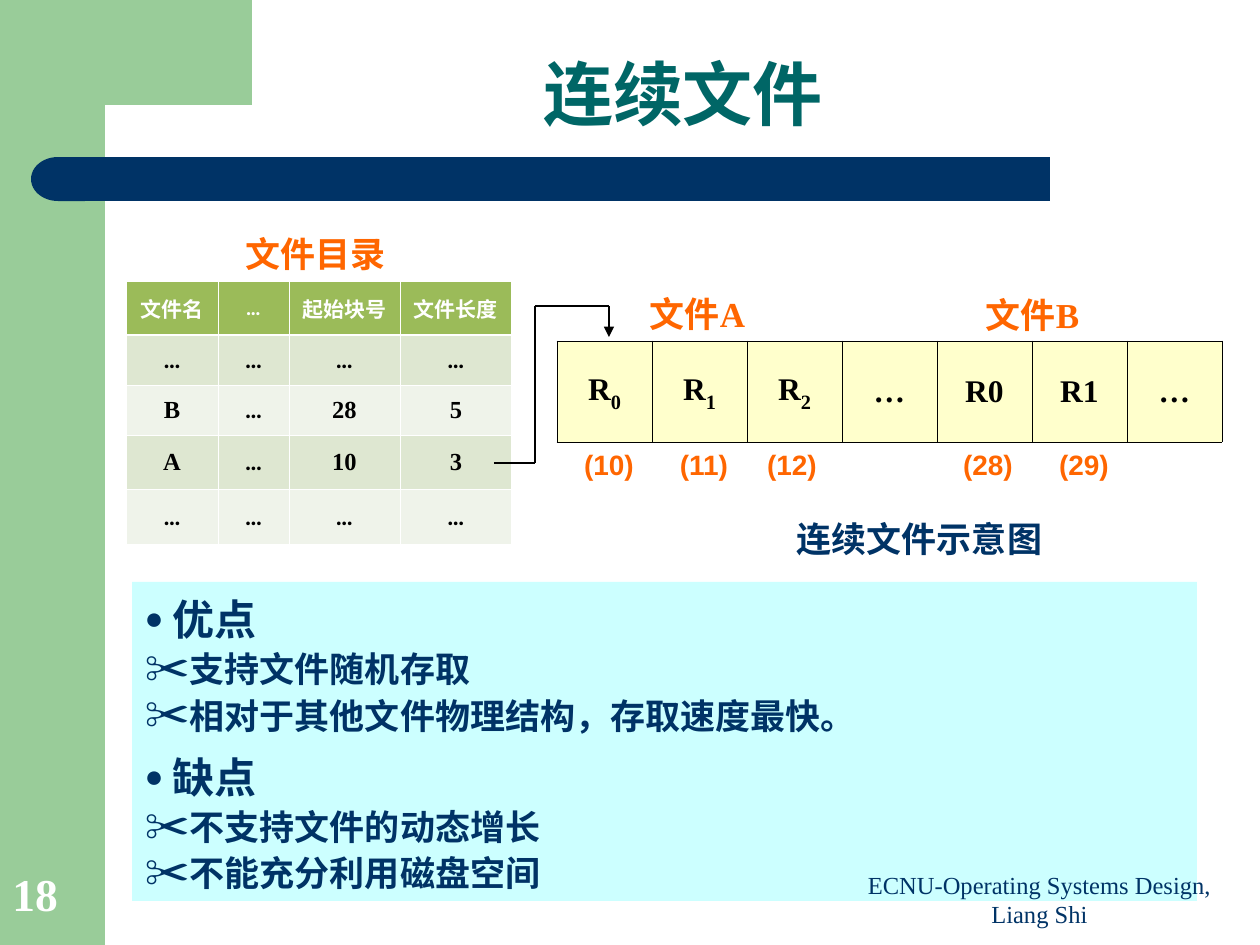
"""Build the slide on contiguous files: directory, block layout, pros and cons."""
from dataclasses import dataclass

import pptx
import pptx.dml.color
import pptx.enum.shapes
import pptx.enum.text
import pptx.oxml
import pptx.oxml.ns
import pptx.util

Align = pptx.enum.text.PP_ALIGN
Anchor = pptx.enum.text.MSO_ANCHOR
Shape = pptx.enum.shapes.MSO_SHAPE
qn = pptx.oxml.ns.qn
NS = pptx.oxml.ns.nsdecls("a")
EMU_PER_PX = 914400 / 126


@dataclass(frozen=True)
class Theme:
    green: str = "99CC99"
    navy: str = "003366"
    teal: str = "006666"
    orange: str = "FF6600"
    cyan: str = "CCFFFF"
    cream: str = "FFFFCC"
    header: str = "9BBB59"
    bands: tuple = ("DEE7D1", "EFF3EA")
    black: str = "000000"
    white: str = "FFFFFF"
    serif: str = "Times New Roman"
    sans: str = "Arial"
    table: str = "Calibri"
    cjk: str = "Noto Sans CJK SC"
    title: int = 40
    number: int = 26
    heading: int = 24
    text: int = 20
    block: int = 18
    address: int = 16
    small: int = 14
    column: int = 12


@dataclass(frozen=True)
class Box:
    x: int
    y: int
    w: int
    h: int

    def emu(self) -> tuple:
        return tuple(px(v) for v in (self.x, self.y, self.w, self.h))


@dataclass(frozen=True)
class Label:
    text: str
    box: Box
    size: int
    color: str
    font: str
    bold: bool = True
    align: Align = Align.CENTER
    anchor: Anchor = Anchor.TOP


@dataclass(frozen=True)
class Point:
    text: str
    level: int
    spacing: float = 1.1


T = Theme()

LABELS = [
    Label("文件目录", Box(231, 226, 169, 55), T.text, T.orange, T.serif),
    Label("文件A", Box(613, 286, 169, 55), T.text, T.orange, T.serif),
    Label("文件B", Box(948, 287, 169, 55), T.text, T.orange, T.serif),
    Label("连续文件示意图", Box(763, 511, 313, 55), T.text, T.navy, T.sans),
    Label("ECNU-Operating Systems Design, Liang Shi", Box(840, 869, 399, 66),
          T.small, T.navy, T.serif, bold=False, anchor=Anchor.BOTTOM),
    Label("18", Box(0, 861, 103, 66), T.number, T.white, T.serif,
          align=Align.LEFT, anchor=Anchor.BOTTOM),
]
ADDRESSES = {"(10)": 609, "(11)": 704, "(12)": 792, "(28)": 988, "(29)": 1084}
DIRECTORY = [
    ("文件名", "…", "起始块号", "文件长度"),
    ("…", "…", "…", "…"),
    ("B", "…", "28", "5"),
    ("A", "…", "10", "3"),
    ("…", "…", "…", "…"),
]
BLOCKS = [("R", "0"), ("R", "1"), ("R", "2"), ("…", ""), ("R0", ""), ("R1", ""), ("…", "")]
POINTS = [
    Point("优点", 0),
    Point("支持文件随机存取", 1),
    Point("相对于其他文件物理结构，存取速度最快。", 1),
    Point("缺点", 0, 1.3),
    Point("不支持文件的动态增长", 1),
    Point("不能充分利用磁盘空间", 1),
]
BULLETS = [("●", 75, 28, T.heading), ("✂", 130, 44, T.text)]


def px(value: float) -> int:
    return round(value * EMU_PER_PX)


def rgb(color: str):
    return pptx.dml.color.RGBColor.from_string(color)


def add_text(p, text: str, *, size: int, color: str, font: str, bold: bool = True, sub: bool = False) -> None:
    r = p.add_run()
    r.text = text
    r.font.size, r.font.bold, r.font.name = pptx.util.Pt(size), bold, font
    r.font.color.rgb = rgb(color)
    rPr = r.font._element
    if any(ord(c) > 0x2E80 for c in text):
        rPr.find(qn("a:latin")).addnext(pptx.oxml.parse_xml(f'<a:ea {NS} typeface="{T.cjk}"/>'))
    if sub:
        rPr.set("baseline", "-25000")


def add_label(s, label: Label) -> None:
    tf = s.shapes.add_textbox(*label.box.emu()).text_frame
    tf.word_wrap, tf.vertical_anchor = True, label.anchor
    p = tf.paragraphs[0]
    p.alignment = label.align
    add_text(p, label.text, size=label.size, color=label.color, font=label.font, bold=label.bold)


def paint(sp, color: str) -> None:
    sp.shadow.inherit = False
    sp.fill.solid()
    sp.fill.fore_color.rgb = rgb(color)
    sp.line.fill.background()


def add_frame(s) -> None:
    paint(s.shapes.add_shape(Shape.RECTANGLE, *Box(0, 0, 105, 945).emu()), T.green)
    corner = s.shapes.build_freeform(63, 0, scale=EMU_PER_PX)
    corner.add_line_segments([(252, 0), (252, 105), (102, 105), (91, 113), (86, 131), (84, 161), (63, 161)])
    paint(corner.convert_to_shape(), T.green)
    paint(s.shapes.add_shape(Shape.RECTANGLE, *Box(84, 157, 966, 44).emu()), T.navy)
    cap = s.shapes.add_shape(Shape.FLOWCHART_DELAY, *Box(31, 157, 54, 44).emu())
    cap.rotation = 180
    paint(cap, T.navy)


def add_grid(s, box: Box, widths: list[int], heights: list[int]):
    table = s.shapes.add_table(len(heights), len(widths), *box.emu()).table
    for column, width in zip(table.columns, widths):
        column.width = px(width)
    for row, height in zip(table.rows, heights):
        row.height = px(height)
    return table


def style_cell(cell, fill: str, border: str, before: float, thick: str = ""):
    cell.vertical_anchor = Anchor.MIDDLE
    tcPr = cell._tc.get_or_add_tcPr()
    for side in "LRTB":
        width = pptx.util.Pt(1.5 if side == thick else 0.5)
        tcPr.append(pptx.oxml.parse_xml(
            f'<a:ln{side} {NS} w="{width}"><a:solidFill><a:srgbClr val="{border}"/></a:solidFill></a:ln{side}>'))
    cell.fill.solid()
    cell.fill.fore_color.rgb = rgb(fill)
    p = cell.text_frame.paragraphs[0]
    p.alignment, p.space_before = Align.CENTER, pptx.util.Pt(before)
    return p


def add_directory(s) -> None:
    table = add_grid(s, Box(126, 281, 386, 264), [92, 71, 111, 112], [54, 50, 50, 55, 55])
    for i, row in enumerate(DIRECTORY):
        fill = T.bands[(i - 1) % 2] if i else T.header
        for j, text in enumerate(row):
            p = style_cell(table.cell(i, j), fill, T.white, 3.5 if i else 3, {0: "B", 1: "T"}.get(i, ""))
            add_text(p, text, size=T.small if i else T.column, color=T.black if i else T.white,
                     font=T.serif if text.isalnum() and i else T.table)


def add_blocks(s) -> None:
    table = add_grid(s, Box(557, 341, 665, 101), [95] * len(BLOCKS), [101])
    for j, (name, index) in enumerate(BLOCKS):
        p = style_cell(table.cell(0, j), T.cream, T.black, 5 if index else 4.5)
        add_text(p, name, size=T.block, color=T.black, font=T.serif)
        if index:
            add_text(p, index, size=T.text, color=T.black, font=T.serif, sub=True)


def add_pointer(s, route: list[tuple[int, int]]) -> None:
    for start, end in zip(route, route[1:]):
        line = s.shapes.add_connector(pptx.enum.shapes.MSO_CONNECTOR.STRAIGHT, *map(px, start + end))
        line.line.color.rgb, line.line.width = rgb(T.black), pptx.util.Pt(0.75)
        if end == route[-1]:
            line.line._get_or_add_ln().append(pptx.oxml.parse_xml(f'<a:tailEnd {NS} type="triangle"/>'))
        line._element.spPr.append(pptx.oxml.parse_xml(f"<a:effectLst {NS}/>"))


def place(sp, box: Box, anchor: Anchor):
    sp.left, sp.top, sp.width, sp.height = box.emu()
    tf = sp.text_frame
    tf.auto_size, tf.vertical_anchor = pptx.enum.text.MSO_AUTO_SIZE.NONE, anchor
    return tf


def add_title(s) -> None:
    p = place(s.shapes.title, Box(144, 52, 1078, 92), Anchor.MIDDLE).paragraphs[0]
    p.alignment, p.line_spacing = Align.CENTER, 0.9
    add_text(p, "连续文件", size=T.title, color=T.teal, font=T.cjk)


def add_points(s) -> None:
    sp = s.placeholders[1]
    tf = place(sp, Box(132, 582, 1065, 319), Anchor.TOP)
    sp.fill.solid()
    sp.fill.fore_color.rgb = rgb(T.cyan)
    for i, point in enumerate(POINTS):
        p = tf.add_paragraph() if i else tf.paragraphs[0]
        char, percent, indent, size = BULLETS[point.level]
        p.level, p.alignment = point.level, Align.JUSTIFY
        p.line_spacing, p.space_before = point.spacing, pptx.util.Pt(0)
        pPr = p._p.get_or_add_pPr()
        pPr.set("marL", str(px(indent)))
        pPr.set("indent", str(-px(indent)))
        for xml in (f'<a:buClr {NS}><a:srgbClr val="{T.navy}"/></a:buClr>',
                    f'<a:buSzPct {NS} val="{percent * 1000}"/>', f'<a:buChar {NS} char="{char}"/>'):
            pPr.append(pptx.oxml.parse_xml(xml))
        add_text(p, point.text, size=size, color=T.navy, font=T.sans)


def main() -> None:
    prs = pptx.Presentation()
    prs.slide_width, prs.slide_height = px(1260), px(945)
    s = prs.slides.add_slide(prs.slide_layouts[1])
    add_frame(s)
    add_title(s)
    add_points(s)
    add_directory(s)
    add_blocks(s)
    add_pointer(s, [(494, 463), (535, 463), (535, 306), (609, 306), (609, 337)])
    addresses = [Label(text, Box(x - 48, 441, 96, 47), T.address, T.orange, T.sans) for text, x in ADDRESSES.items()]
    for label in addresses + LABELS:
        add_label(s, label)
    prs.save("out.pptx")


if __name__ == "__main__":
    main()
